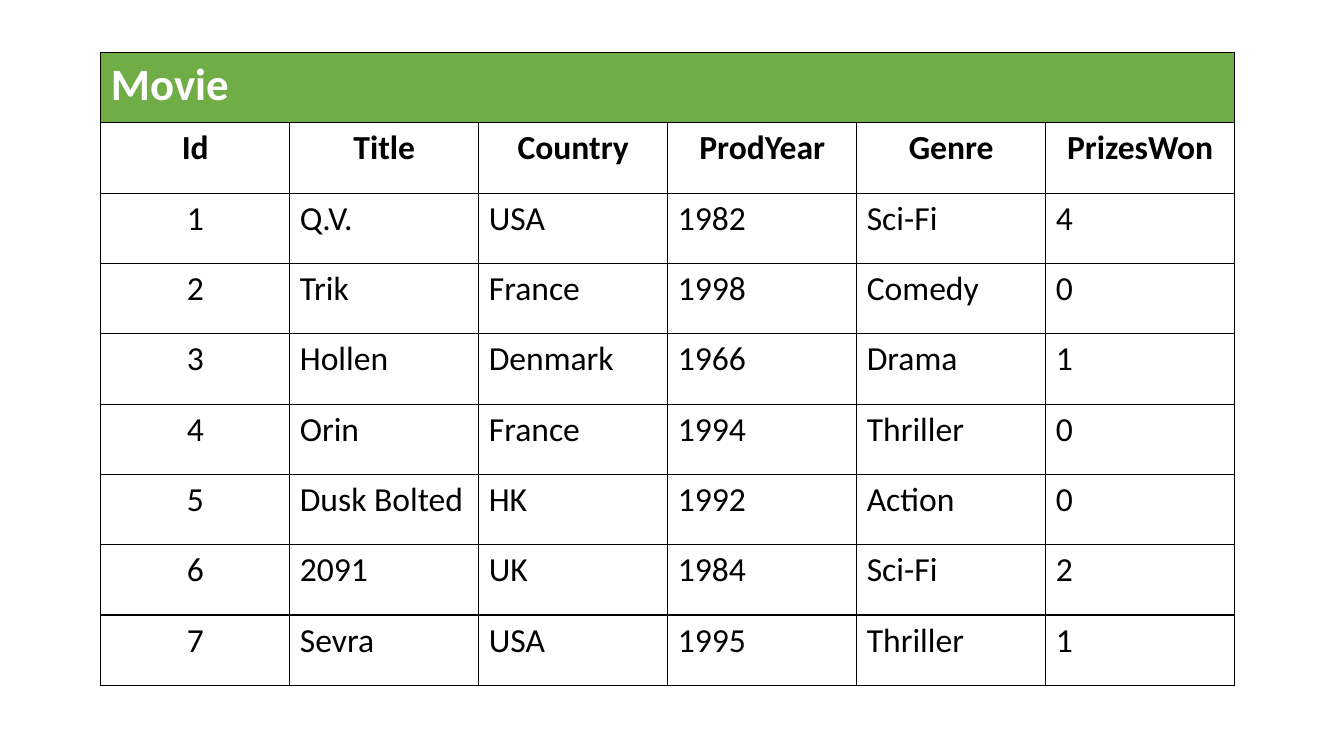
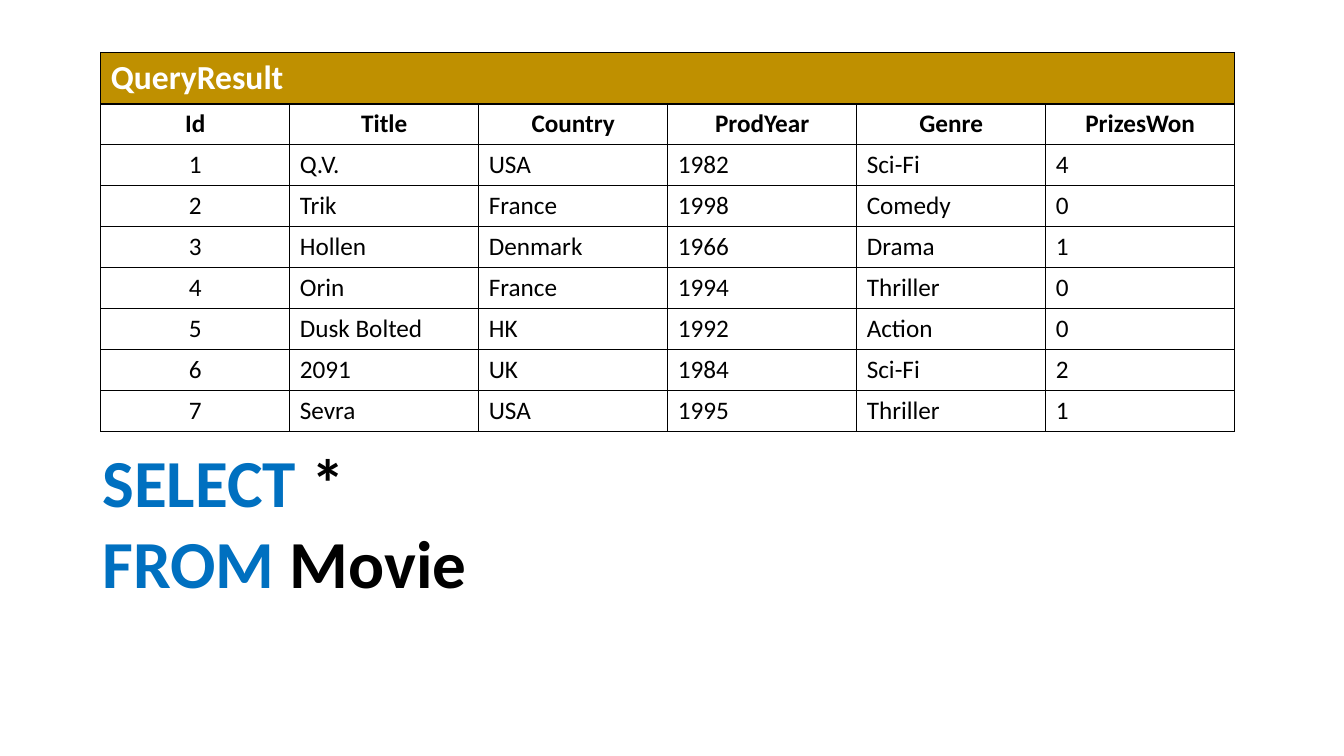
from dataclasses import dataclass

from pptx import Presentation
from pptx import slide as s
from pptx import table as t
from pptx import util as u
from pptx.dml import color as c
from pptx.enum import text as e
from pptx.oxml import xmlchemy as x
from pptx.shapes import placeholder as ph
from pptx.text import text as tt

EMU_PER_PX = 9525
SLIDE_WIDTH, SLIDE_HEIGHT = 1280, 720
TABLE_LEFT, TABLE_TOP, COLUMN_WIDTH = 96, 50, 180
FONT = "Calibri"
BLACK = c.RGBColor(0x00, 0x00, 0x00)
WHITE = c.RGBColor(0xFF, 0xFF, 0xFF)
GREEN = c.RGBColor(0x70, 0xAD, 0x47)
GOLD = c.RGBColor(0xBF, 0x90, 0x00)
BLUE = c.RGBColor(0x00, 0x70, 0xC0)

COLUMNS = ("Id", "Title", "Country", "ProdYear", "Genre", "PrizesWon")
MOVIES = (
    ("1", "Q.V.", "USA", "1982", "Sci-Fi", "4"),
    ("2", "Trik", "France", "1998", "Comedy", "0"),
    ("3", "Hollen", "Denmark", "1966", "Drama", "1"),
    ("4", "Orin", "France", "1994", "Thriller", "0"),
    ("5", "Dusk Bolted", "HK", "1992", "Action", "0"),
    ("6", "2091", "UK", "1984", "Sci-Fi", "2"),
    ("7", "Sevra", "USA", "1995", "Thriller", "1"),
)
QUERY = (("SELECT", " *"), ("FROM", " Movie"))


@dataclass(frozen=True)
class TableStyle:
    caption: str
    caption_fill: c.RGBColor
    caption_size: int
    text_size: int
    caption_height: int
    row_height: int


MOVIE = TableStyle("Movie", GREEN, 32, 24, 67, 67)
QUERY_RESULT = TableStyle("QueryResult", GOLD, 24, 18, 49, 39)


def px(length: int) -> u.Emu:
    return u.Emu(length * EMU_PER_PX)


def add_run(paragraph: tt._Paragraph, text: str, size: int,
            color: c.RGBColor, bold: bool) -> None:
    run = paragraph.add_run()
    run.text = text
    run.font.name = FONT
    run.font.size = u.Pt(size)
    run.font.bold = bold
    run.font.color.rgb = color


def add_borders(cell: t._Cell) -> None:
    properties = cell._tc.get_or_add_tcPr()
    for side in ("lnL", "lnR", "lnT", "lnB"):
        line = x.OxmlElement(f"a:{side}")
        line.set("w", str(u.Pt(1)))
        fill = x.OxmlElement("a:solidFill")
        color = x.OxmlElement("a:srgbClr")
        color.set("val", str(BLACK))
        fill.append(color)
        line.append(fill)
        properties.append(line)


def add_movie_table(slide: s.Slide, style: TableStyle) -> None:
    rows = (COLUMNS, *MOVIES)
    heights = [style.caption_height] + [style.row_height] * len(rows)
    frame = slide.shapes.add_table(
        len(heights), len(COLUMNS), px(TABLE_LEFT), px(TABLE_TOP),
        px(COLUMN_WIDTH * len(COLUMNS)), px(sum(heights)))
    table = frame.table
    table.first_row = table.horz_banding = False
    for column in table.columns:
        column.width = px(COLUMN_WIDTH)
    for row, height in zip(table.rows, heights):
        row.height = px(height)
    for cell in table.iter_cells():
        add_borders(cell)
        cell.fill.background()

    caption = table.cell(0, 0)
    caption.merge(table.cell(0, len(COLUMNS) - 1))
    caption.fill.solid()
    caption.fill.fore_color.rgb = style.caption_fill
    add_run(caption.text_frame.paragraphs[0], style.caption,
            style.caption_size, WHITE, True)

    for row_index, values in enumerate(rows, start=1):
        is_header = values is COLUMNS
        for column_index, value in enumerate(values):
            paragraph = table.cell(row_index, column_index).text_frame.paragraphs[0]
            if is_header or column_index == 0:
                paragraph.alignment = e.PP_ALIGN.CENTER
            add_run(paragraph, value, style.text_size, BLACK, is_header)


def fill_query(body: ph.SlidePlaceholder) -> None:
    body.left, body.top, body.width, body.height = map(px, (88, 423, 1104, 279))
    frame = body.text_frame
    frame.auto_size = e.MSO_AUTO_SIZE.NONE
    frame.vertical_anchor = e.MSO_ANCHOR.TOP
    for index, (keyword, rest) in enumerate(QUERY):
        paragraph = frame.add_paragraph() if index else frame.paragraphs[0]
        properties = paragraph._p.get_or_add_pPr()
        properties.set("marL", "0")
        properties.set("indent", "0")
        properties.append(x.OxmlElement("a:buNone"))
        paragraph.line_spacing = 0.9
        paragraph.space_before = u.Pt(6 if index else 0)
        add_run(paragraph, keyword, 48, BLUE, True)
        add_run(paragraph, rest, 48, BLACK, True)


def main() -> None:
    presentation = Presentation()
    presentation.slide_width = px(SLIDE_WIDTH)
    presentation.slide_height = px(SLIDE_HEIGHT)
    content_layout = presentation.slide_layouts[1]
    blank_layout = presentation.slide_layouts[6]

    add_movie_table(presentation.slides.add_slide(blank_layout), MOVIE)

    query_slide = presentation.slides.add_slide(content_layout)
    title = query_slide.shapes.title.element
    title.getparent().remove(title)
    fill_query(query_slide.placeholders[1])
    add_movie_table(query_slide, QUERY_RESULT)

    presentation.save("out.pptx")


if __name__ == "__main__":
    main()
